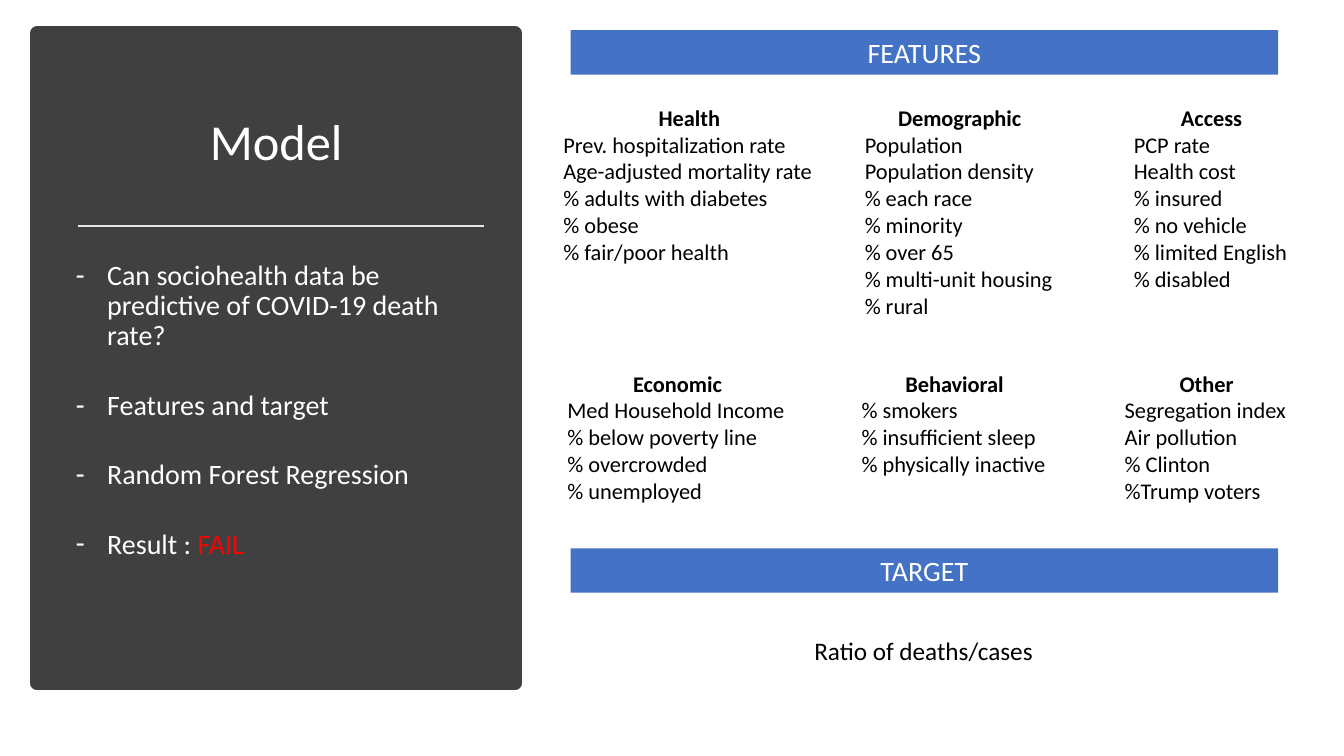
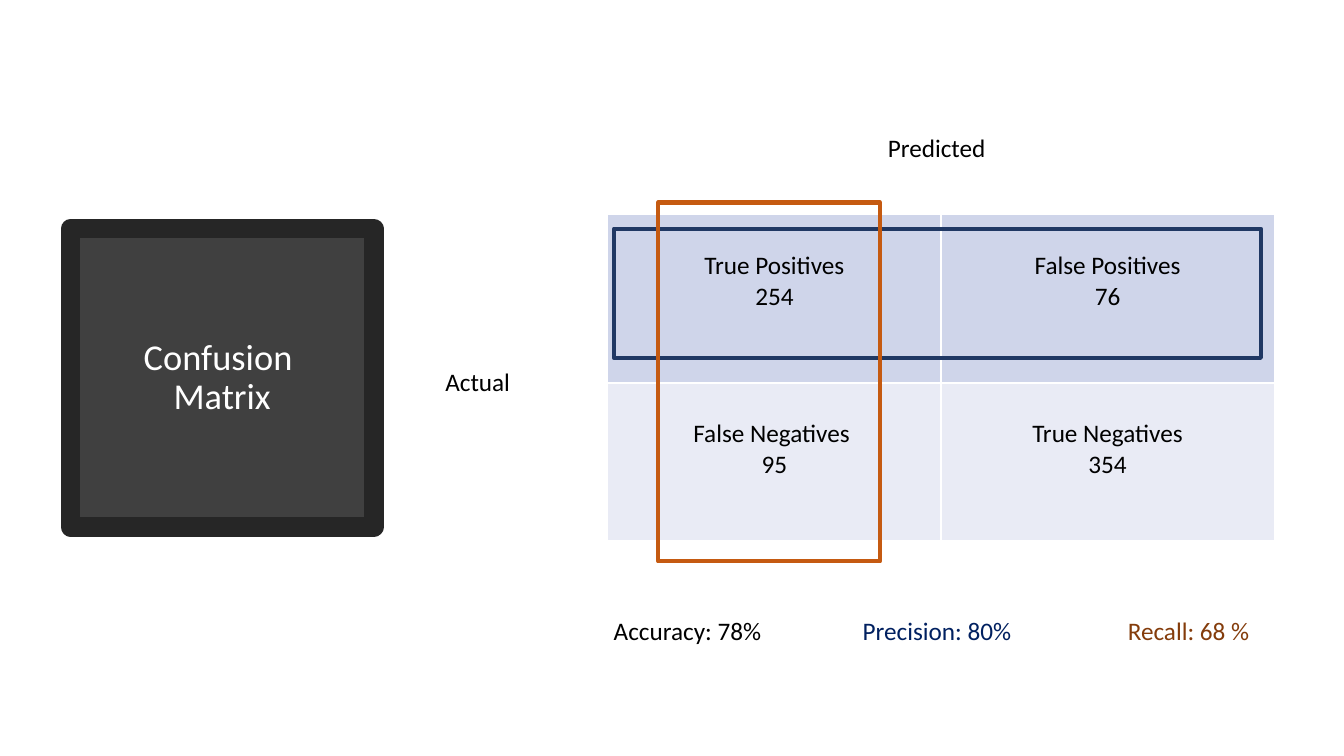
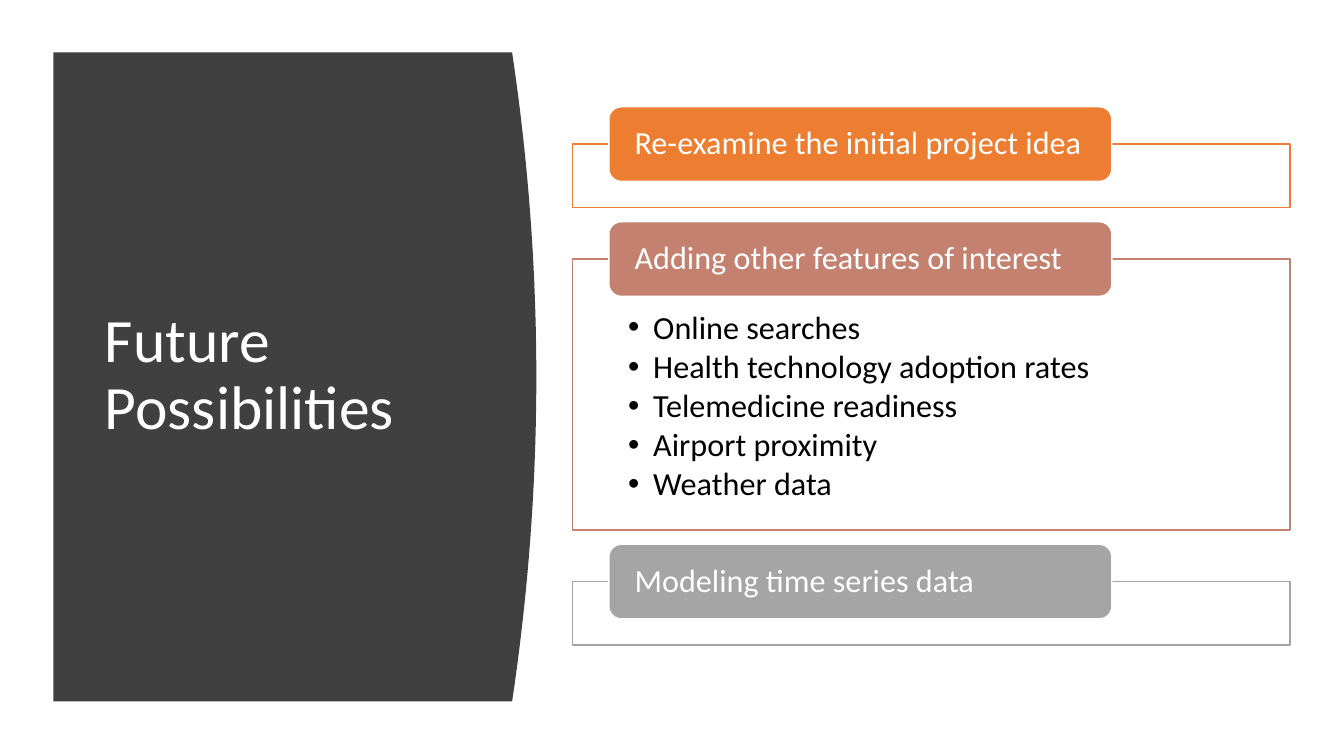
from lxml import etree
from pptx import Presentation
from pptx import util as u
from pptx.dml.color import RGBColor
from pptx.enum import shapes, text
from pptx.oxml.ns import qn

Pt = u.Pt
WHITE, BLACK = RGBColor(255, 255, 255), RGBColor(0, 0, 0)
PANEL, PANEL_EDGE = RGBColor(0x40, 0x40, 0x40), RGBColor(0x26, 0x26, 0x26)
RULE, RED = RGBColor(0xE7, 0xE6, 0xE6), RGBColor(255, 0, 0)
BLUE, NAVY = RGBColor(0x44, 0x72, 0xC4), RGBColor(0x20, 0x38, 0x64)
PRECISION, RECALL = RGBColor(0, 0x20, 0x60), RGBColor(0x84, 0x3C, 0x0B)
RUST, ORANGE = RGBColor(0xC5, 0x5A, 0x11), RGBColor(0xED, 0x7D, 0x31)
ROSE, GREY = RGBColor(0xC4, 0x81, 0x70), RGBColor(0xA5, 0xA5, 0xA5)
ROW_FILLS = RGBColor(0xCF, 0xD5, 0xEA), RGBColor(0xE9, 0xEB, 0xF5)
CENTER, LEFT = text.PP_ALIGN.CENTER, text.PP_ALIGN.LEFT
TOP, MIDDLE = text.MSO_ANCHOR.TOP, text.MSO_ANCHOR.MIDDLE
RECT = shapes.MSO_SHAPE.RECTANGLE
ROUND = shapes.MSO_SHAPE.ROUNDED_RECTANGLE
TITLE_AND_BODY, TITLE_ONLY = 1, 5


def apply(obj, **values):
    for name, value in values.items():
        setattr(obj, name, value)


def style_font(font, size, color, bold=False):
    apply(font, name="Calibri", size=Pt(size), bold=bold)
    font.color.rgb = color


def write(tf, lines, size=18, color=BLACK, **para):
    """Put one paragraph per line; a vertical tab breaks a line."""
    for i, line in enumerate(lines):
        p = tf.add_paragraph() if i else tf.paragraphs[0]
        p.text = line
        apply(p, **para)
        for r in p.runs:
            style_font(r.font, size, color)
        for br in p._p.findall(qn("a:br")):
            etree.SubElement(br, qn("a:rPr"), sz=str(size * 100))


def bullet(tf, char, indent):
    for p in tf.paragraphs:
        pPr = p._p.get_or_add_pPr()
        pPr.set("marL", str(Pt(indent)))
        pPr.set("indent", str(-Pt(indent)))
        etree.SubElement(pPr, qn("a:buFont"), typeface="Arial")
        etree.SubElement(pPr, qn("a:buChar"), char=char)


class Deck:
    def __init__(self):
        self.prs = Presentation()
        apply(self.prs, slide_width=Pt(960), slide_height=Pt(540))

    def slide(self, layout):
        self.s = self.prs.slides.add_slide(self.prs.slide_layouts[layout])

    def paint(self, sp, fill=None, line=None, width=1):
        if fill is None:
            sp.fill.background()
        else:
            sp.fill.solid()
            sp.fill.fore_color.rgb = fill
        if line is None:
            sp.line.fill.background()
        else:
            sp.line.color.rgb = line
            sp.line.width = Pt(width)

    def placeholder(self, idx, box, lines, anchor=TOP, **style):
        sp = self.s.placeholders[idx]
        apply(sp, **dict(zip(("left", "top", "width", "height"), map(Pt, box))))
        tf = sp.text_frame
        apply(tf, word_wrap=True, auto_size=text.MSO_AUTO_SIZE.NONE,
              vertical_anchor=anchor)
        write(tf, lines, color=WHITE, line_spacing=0.9, **style)
        return sp

    def title(self, box, words, size, align=CENTER):
        return self.placeholder(0, box, [words], MIDDLE, size=size, alignment=align)

    def shape(self, kind, box, *paint):
        sp = self.s.shapes.add_shape(kind, *map(Pt, box))
        sp.shadow.inherit = False
        self.paint(sp, *paint)
        return sp

    def to_back(self, sp):
        self.s.shapes._spTree.insert(2, sp._element)

    def band(self, top, words):
        sp = self.shape(RECT, (407.5, top, 505.5, 31.7), BLUE)
        write(sp.text_frame, [words], 20, WHITE, alignment=CENTER)

    def rule(self, x1, x2, y):
        cx = self.s.shapes.add_connector(
            shapes.MSO_CONNECTOR.STRAIGHT, Pt(x1), Pt(y), Pt(x2), Pt(y))
        cx.line.color.rgb = RULE
        cx.line.width = Pt(1.75)
        etree.SubElement(cx._element.spPr, qn("a:effectLst"))

    def label(self, box, lines, **style):
        tf = self.s.shapes.add_textbox(*map(Pt, box)).text_frame
        apply(tf, word_wrap=False, auto_size=text.MSO_AUTO_SIZE.SHAPE_TO_FIT_TEXT)
        write(tf, lines, **style)
        return tf

    def feature_list(self, left, top, width, lines):
        tf = self.label((left, top, width, 7.2 + 19.5 * len(lines)), lines, size=16)
        heading = tf.paragraphs[0]
        heading.alignment = CENTER
        heading.runs[0].font.bold = True

    def matrix(self, box, heights, rows):
        tbl = self.s.shapes.add_table(len(rows), len(rows[0]), *map(Pt, box)).table
        apply(tbl, first_row=False, horz_banding=False)
        for row, height, fill, values in zip(tbl.rows, heights, ROW_FILLS, rows):
            row.height = Pt(height)
            for cell, lines in zip(row.cells, values):
                tcPr = cell._tc.get_or_add_tcPr()
                for side in "LRTB":
                    ln = etree.SubElement(tcPr, qn(f"a:ln{side}"), w=str(Pt(1)))
                    solid = etree.SubElement(ln, qn("a:solidFill"))
                    etree.SubElement(solid, qn("a:srgbClr"), val=str(WHITE))
                cell.fill.solid()
                cell.fill.fore_color.rgb = fill
                cell.margin_top = Pt(25.6)
                write(cell.text_frame, lines, alignment=CENTER)

    def bowed_panel(self, left, top, right, bottom, bulge, steps=40):
        """Panel whose right edge bows out along a parabola."""
        edge = []
        for i in range(steps + 1):
            t = 2 * i / steps - 1
            edge.append((Pt(right + bulge * (1 - t * t)),
                         Pt(top + (bottom - top) * i / steps)))
        fb = self.s.shapes.build_freeform(Pt(left), Pt(top))
        fb.add_line_segments(edge + [(Pt(left), Pt(bottom))], close=True)
        sp = fb.convert_to_shape()
        sp.shadow.inherit = False
        self.paint(sp, PANEL)
        self.to_back(sp)

    def topic(self, top, height, color, words, items):
        """Draw a frame with a tab on its upper edge; return the frame's bottom."""
        frame_top = top + 26.6
        frame = self.shape(RECT, (409, frame_top, 512.6, height), WHITE, color)
        if items:
            tf = frame.text_frame
            apply(tf, vertical_anchor=TOP, margin_left=Pt(39.6),
                  margin_right=Pt(39.6), margin_top=Pt(37.4), margin_bottom=Pt(13))
            write(tf, items, 23, alignment=LEFT, line_spacing=0.9,
                  space_after=Pt(3.1))
            bullet(tf, "•", 18)
        tab = self.shape(ROUND, (434.9, top, 359.3, 53.3), color, WHITE)
        apply(tab.text_frame, vertical_anchor=MIDDLE, margin_left=Pt(15.8),
              margin_right=Pt(15.8))
        write(tab.text_frame, [words], 23, WHITE, alignment=LEFT, line_spacing=0.9)
        return frame_top + height


def model_slide(d):
    d.slide(TITLE_AND_BODY)
    d.to_back(d.shape(RECT, (26.6, 23.8, 341.3, 464.4), PANEL, PANEL, 10))
    d.title((46.8, 50.4, 301, 105.8), "Model", 36)
    d.rule(55.4, 345.6, 161.3)
    body = d.placeholder(
        1, (46.8, 182.9, 301, 297.4),
        ["Can sociohealth data be predictive of COVID-19 death rate?",
         "Features and target", "Random Forest Regression", "Result : "],
        size=20, space_before=Pt(10), space_after=Pt(18))
    bullet(body.text_frame, "-", 22.5)
    r = body.text_frame.paragraphs[-1].add_run()
    r.text = "FAIL"
    style_font(r.font, 20, RED)

    d.band(21.6, "FEATURES")
    upper, lower = 70.6, 260.6
    for left, top, width, lines in (
        (395.3, upper, 194.4, [
            "Health", "Prev. hospitalization rate", "Age-adjusted mortality rate",
            "% adults with diabetes", "% obese", "% fair/poor health"]),
        (610.6, upper, 149.8, [
            "Demographic", "Population", "Population density", "% each race",
            "% minority", "% over 65", "% multi-unit housing", "% rural"]),
        (802.8, upper, 125.3, [
            "Access", "PCP rate", "Health cost", "% insured", "% no vehicle",
            "% limited English", "% disabled"]),
        (398.2, lower, 171.4, [
            "Economic", "Med Household Income", "% below poverty line",
            "% overcrowded", "% unemployed"]),
        (608.4, lower, 146.9, [
            "Behavioral", "% smokers", "% insufficient sleep",
            "% physically inactive"]),
        (796.3, lower, 131, [
            "Other", "Segregation index", "Air pollution", "% Clinton",
            "%Trump voters"]),
    ):
        d.feature_list(left, top, width, lines)
    d.band(391.7, "TARGET")
    d.label((574.6, 450, 172, 29), ["Ratio of deaths/cases"])


def matrix_slide(d):
    d.slide(TITLE_ONLY)
    sp = d.title((50.4, 163.4, 216.7, 213.1), "Confusion \vMatrix", 26)
    d.paint(sp, PANEL, PANEL_EDGE, 13.75)
    d.matrix((434.2, 153.4, 475.9, 232.6), (120.2, 112.4), (
        (("True Positives", "254"), ("False Positives", "76")),
        (("False Negatives ", "95"), ("True Negatives", "354")),
    ))
    d.shape(RECT, (438.5, 163.4, 462.2, 92.2), None, NAVY, 3)
    d.shape(RECT, (470.2, 144.7, 158.4, 256.3), None, RUST, 3)
    for left, top, width, words, color in (
        (627.1, 90.7, 85, "Predicted", BLACK),
        (311, 257.8, 61.2, "Actual", BLACK),
        (431.3, 435.6, 121, "Accuracy: 78%", BLACK),
        (609.1, 435.6, 121.7, "Precision: 80%", PRECISION),
        (798.5, 435.6, 102.2, "Recall: 68 %", RECALL),
    ):
        d.label((left, top, width, 29), [words], color=color)


def future_slide(d):
    d.slide(TITLE_ONLY)
    d.bowed_panel(38.2, 37.4, 365.8, 501.1, 17.3)
    d.title((67.7, 79.9, 269.3, 377.3), "Future Possibilities", 44, LEFT)
    top, gap = 76.3, 10.1
    for height, color, words, items in (
        (45.4, ORANGE, "Re-examine the initial project idea", []),
        (193.7, ROSE, "Adding other features of interest", [
            "Online searches", "Health technology adoption rates",
            "Telemedicine readiness", "Airport proximity", "Weather data"]),
        (45.4, GREY, "Modeling time series data", []),
    ):
        top = d.topic(top, height, color, words, items) + gap


def main():
    d = Deck()
    for build in (model_slide, matrix_slide, future_slide):
        build(d)
    d.prs.save("out.pptx")


if __name__ == "__main__":
    main()
